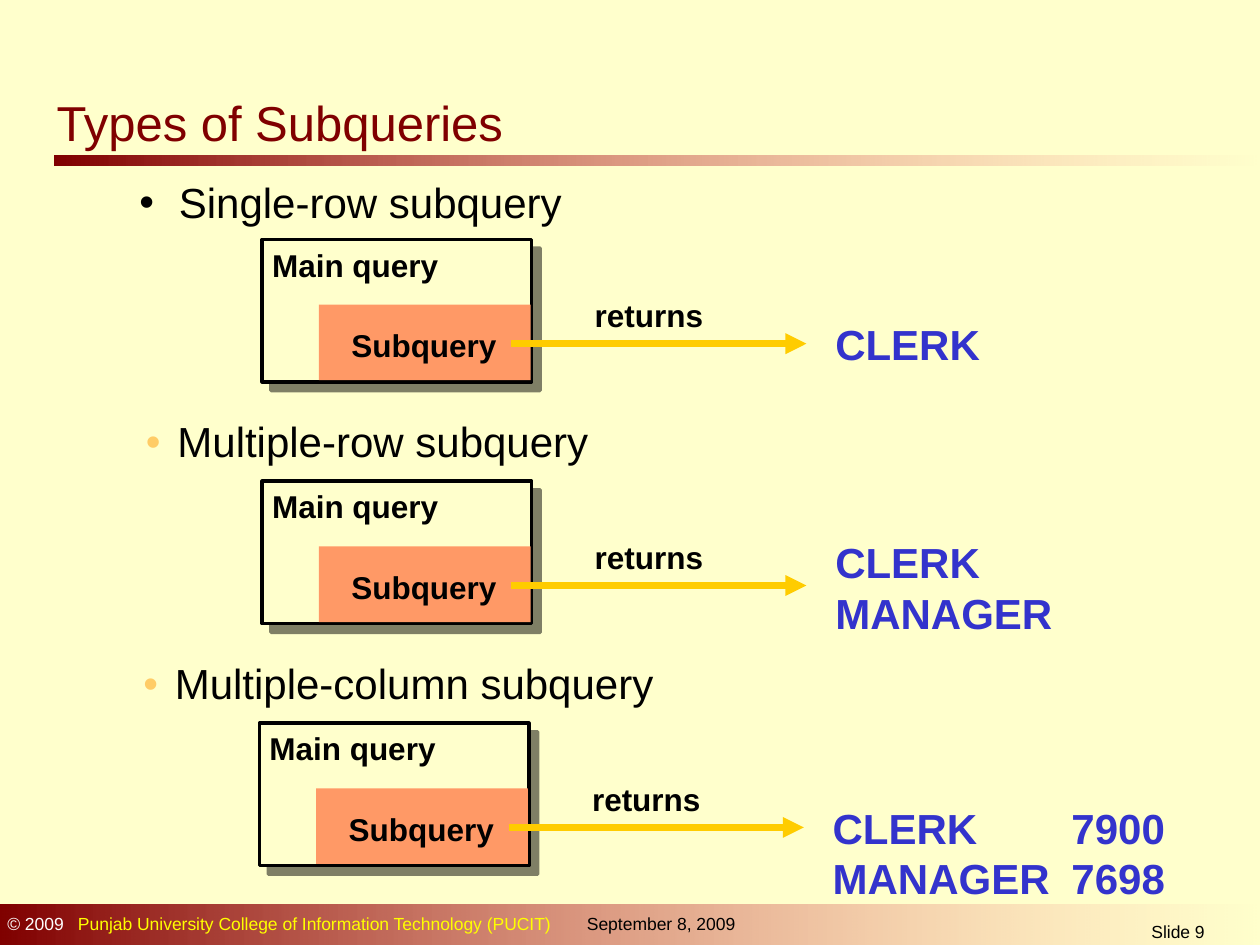
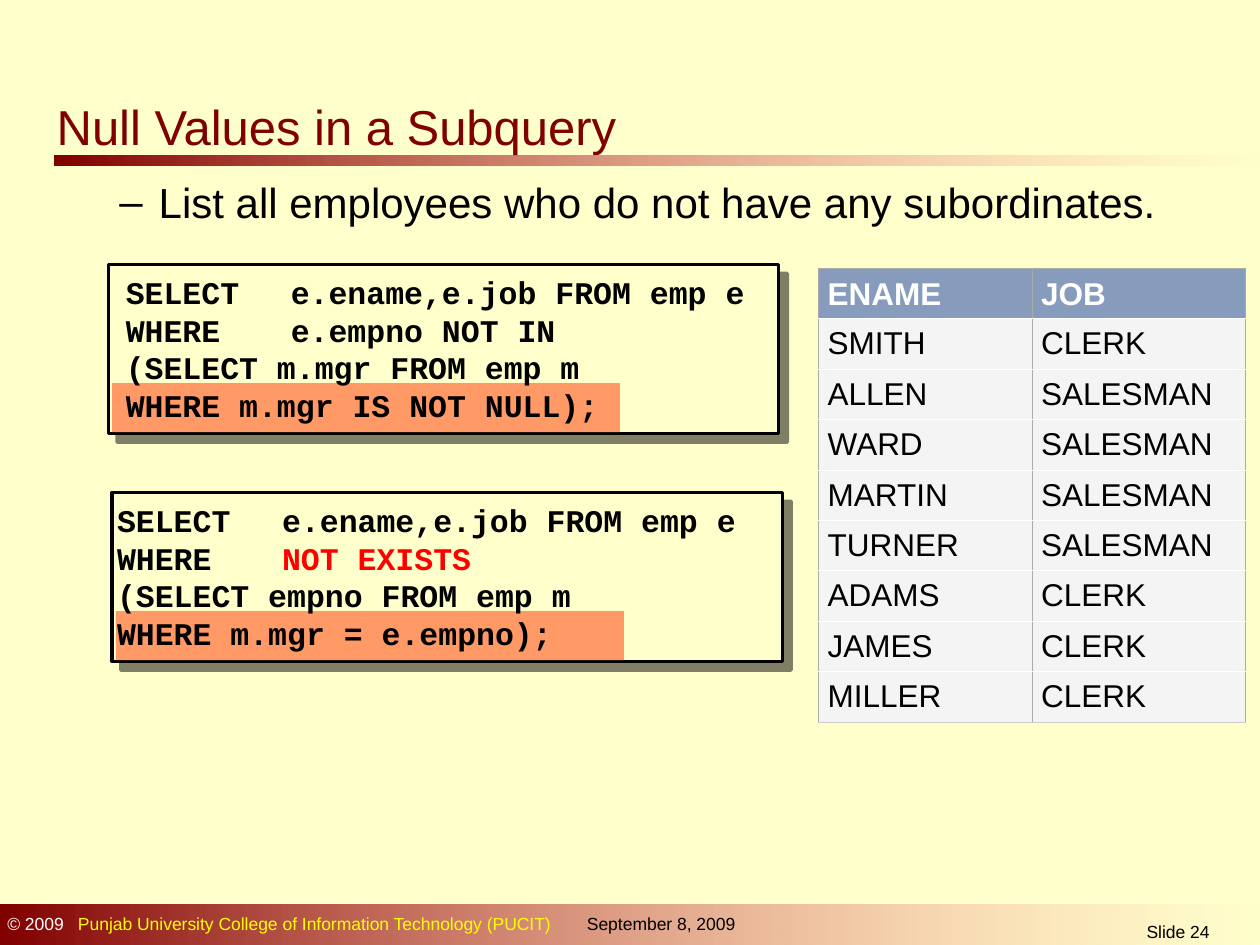
"""Builds two lecture slides on SQL subqueries."""
from dataclasses import dataclass

from lxml import etree
from pptx import Presentation
from pptx import util as u
from pptx.dml.color import RGBColor
from pptx.enum import shapes, text
from pptx.oxml import ns


@dataclass(frozen=True)
class Theme:
    sans: str = "Arial"
    mono: str = "Courier New"
    title_size: int = 28
    list_size: int = 24
    label_size: int = 18
    footer_size: int = 10
    page: str = "FFFFCC"
    maroon: str = "800000"
    fade: str = "FF8585"
    ink: str = "000000"
    white: str = "FFFFFF"
    yellow: str = "FFFF00"
    orange: str = "FF9966"
    gold: str = "FFCC00"
    bullet: str = "FFCC66"
    result: str = "3333CC"
    alert: str = "FF0000"
    table_head: str = "879CBD"
    table_body: str = "F4F4F4"
    table_rule: str = "AAAAAA"
    table_foot: str = "CCCCCC"


theme = Theme()
rgb = RGBColor.from_string


def write(holder, lines, size, color=theme.ink, bold=False, face=theme.sans,
          anchor=text.MSO_ANCHOR.TOP, align=text.PP_ALIGN.LEFT, tab=None, bullet=None):
    """Fill a shape with paragraphs; bullet is (sign, colour, left, hanging)."""
    frame = holder.text_frame
    frame.word_wrap = True
    frame.auto_size = text.MSO_AUTO_SIZE.NONE
    frame.vertical_anchor = anchor
    for index, line in enumerate(lines):
        paragraph = frame.add_paragraph() if index else frame.paragraphs[0]
        paragraph.text = line
        paragraph.alignment = align
        paragraph.space_before = u.Pt(0)
        props = paragraph._p.get_or_add_pPr()
        if bullet:
            sign, sign_color, left, hanging = bullet
            props.set("marL", str(u.Pt(left)))
            props.set("indent", str(-u.Pt(hanging)))
            tint = etree.SubElement(props, ns.qn("a:buClr"))
            etree.SubElement(tint, ns.qn("a:srgbClr"), val=sign_color)
            etree.SubElement(props, ns.qn("a:buFont"), typeface=theme.sans)
            etree.SubElement(props, ns.qn("a:buChar"), char=sign)
        if tab:
            stops = etree.SubElement(props, ns.qn("a:tabLst"))
            etree.SubElement(stops, ns.qn("a:tab"), pos=str(u.Pt(tab)), algn="l")
        font = paragraph.font
        font.name, font.size, font.bold = face, u.Pt(size), bold
        font.color.rgb = rgb(color)
    return frame


def panel(slide, box, fill, framed=False):
    """Add a plain rectangle, or one with a black frame and a hard shadow."""
    shape = slide.shapes.add_shape(shapes.MSO_SHAPE.RECTANGLE, *map(u.Pt, box))
    shape.shadow.inherit = False
    shape.fill.solid()
    shape.fill.fore_color.rgb = rgb(fill)
    if framed:
        shape.line.color.rgb = rgb(theme.ink)
        shape.line.width = u.Pt(2)
        effects = shape.element.spPr.find(ns.qn("a:effectLst"))
        shadow = etree.SubElement(effects, ns.qn("a:outerShdw"), blurRad="0",
                                  dist=str(u.Pt(7.1)), dir="2700000", algn="ctr", rotWithShape="0")
        tint = etree.SubElement(shadow, ns.qn("a:srgbClr"), val=theme.ink)
        etree.SubElement(tint, ns.qn("a:alpha"), val="50000")
    else:
        shape.line.fill.background()
    return shape


deck = Presentation()
deck.slide_width, deck.slide_height = u.Pt(720), u.Pt(540)
deck.slide_master.background.fill.solid()
deck.slide_master.background.fill.fore_color.rgb = rgb(theme.page)
layout = deck.slide_layouts[1]

types_slide = deck.slides.add_slide(layout)
nulls_slide = deck.slides.add_slide(layout)

shared = []
for band_box in [(31, 88.6, 689, 5.8), (0, 517, 720, 23)]:
    band = panel(types_slide, band_box, theme.maroon)
    band.fill.gradient()
    band.fill.gradient_angle = 0
    start, end = band.fill.gradient_stops
    start.color.rgb, end.color.rgb = rgb(theme.maroon), rgb(theme.fade)
    end_tint = list(band.element.spPr.iter(ns.qn("a:srgbClr")))[-1]
    etree.SubElement(end_tint, ns.qn("a:alpha"), val="0")
    shared.append(band)

copyright_line = types_slide.shapes.add_textbox(*map(u.Pt, (-2.9, 518.4, 330, 19.4)))
credit = write(copyright_line, ["© 2009\t"], theme.footer_size, theme.white, tab=40.4).paragraphs[0]
college = credit.add_run()
college.text = "Punjab University College of Information Technology (PUCIT)"
college.font.color.rgb = rgb(theme.yellow)
date = types_slide.shapes.add_textbox(*map(u.Pt, (328.3, 518.4, 110, 19.4)))
write(date, ["September 8, 2009"], theme.footer_size)
shared += [copyright_line, date]
for number, part in enumerate(shared, start=20):
    part.element.nvSpPr.cNvPr.set("id", str(number))
    layout.shapes.element.append(part.element)

headings = [
    (types_slide, "Types of Subqueries", (25.2, 49, 290, 43.2), "Slide 9",
     "Single-row subquery", "•", (36.7, 97.2, 674.6, 36.7)),
    (nulls_slide, "Null Values in a Subquery", (25.2, 51.8, 343, 36.7), "Slide 24",
     "List all employees who do not have any subordinates.", "–", (25.2, 97.2, 657.4, 36)),
]
for slide, heading, heading_box, page_label, point, sign, point_box in headings:
    title, body = slide.placeholders
    for holder, box in [(title, heading_box), (body, point_box)]:
        holder.left, holder.top, holder.width, holder.height = map(u.Pt, box)
    write(title, [heading], theme.title_size, theme.maroon)
    write(body, [point], theme.list_size, bullet=(sign, theme.ink, 58.3, 22.5))
    page = slide.shapes.add_textbox(*map(u.Pt, (626.4, 522.7, 93.6, 17.3)))
    write(page, [page_label], theme.footer_size, align=text.PP_ALIGN.CENTER)

kinds = [
    (149.8, None, None, 178.6, ["CLERK"]),
    (149.8, "Multiple-row subquery", 67.7, 303.1, ["CLERK", "MANAGER"]),
    (148.3, "Multiple-column subquery", 66.2, 455, ["CLERK\t7900", "MANAGER\t7698"]),
]
for row, (left, kind, kind_left, result_top, results) in enumerate(kinds):
    top = 136.8 + row * 138.2
    if kind:
        kind_box = types_slide.shapes.add_textbox(*map(u.Pt, (kind_left, top - 38.9, 576.7, 35.3)))
        frame = write(kind_box, [kind], theme.list_size, bullet=("•", theme.bullet, 26.6, 18))
        frame.paragraphs[0].line_spacing = 0.95
    panel(types_slide, (left, top, 153.9, 81.4), theme.page, framed=True)
    panel(types_slide, (left + 32.4, top + 37.3, 121, 43.2), theme.orange)
    for label, dx, dy, width in [("Main query", -1.4, 0, 115), ("Subquery", 43.9, 46, 104),
                                 ("returns", 182.9, 28.8, 82)]:
        label_box = types_slide.shapes.add_textbox(*map(u.Pt, (left + dx, top + dy, width, 28.8)))
        write(label_box, [label], theme.label_size, bold=True)
    arrow = types_slide.shapes.add_connector(
        shapes.MSO_CONNECTOR.STRAIGHT,
        *map(u.Pt, (left + 142.5, top + 59.6, left + 311, top + 59.6)))
    arrow.line.color.rgb = rgb(theme.gold)
    arrow.line.width = u.Pt(4)
    etree.SubElement(arrow.line._get_or_add_ln(), ns.qn("a:tailEnd"), type="triangle")
    etree.SubElement(arrow.element.spPr, ns.qn("a:effectLst"))
    result_box = types_slide.shapes.add_textbox(
        *map(u.Pt, (left + 320.4, result_top, 215, 7.2 + 28.8 * len(results))))
    write(result_box, results, theme.list_size, theme.result, bold=True, tab=136.5)

queries = [
    (61.9, 151.2, 2.9, ["SELECT\te.ename,e.job FROM emp e", "WHERE\te.empno NOT IN",
                        "(SELECT m.mgr FROM emp m", "WHERE m.mgr IS NOT NULL);"]),
    (64.1, 281.5, -4.3, ["SELECT\te.ename,e.job FROM emp e", "WHERE\t",
                         "(SELECT empno FROM emp m", "WHERE m.mgr = e.empno);"]),
]
for left, top, indent, code in queries:
    panel(nulls_slide, (left, top, 383, 96.5), theme.page, framed=True)
    panel(nulls_slide, (left + 2.2, top + 67.7, 290.2, 28.1), theme.orange)
    code_box = nulls_slide.shapes.add_textbox(*map(u.Pt, (left + indent, top, 391, 95.8)))
    query = write(code_box, code, theme.label_size, bold=True, face=theme.mono,
                  anchor=text.MSO_ANCHOR.MIDDLE, tab=94.3)
exists = query.paragraphs[1].add_run()
exists.text = "NOT EXISTS"
exists.font.color.rgb = rgb(theme.alert)

employees = [
    ("ENAME", "JOB"), ("SMITH", "CLERK"), ("ALLEN", "SALESMAN"), ("WARD", "SALESMAN"),
    ("MARTIN", "SALESMAN"), ("TURNER", "SALESMAN"), ("ADAMS", "CLERK"), ("JAMES", "CLERK"),
    ("MILLER", "CLERK"),
]
staff = nulls_slide.shapes.add_table(
    len(employees), 2, *map(u.Pt, (467.8, 153.3, 244, 28.8 * len(employees)))).table
staff.first_row = staff.horz_banding = False
for row, employee in enumerate(employees):
    staff.rows[row].height = u.Pt(28.8)
    is_head, is_last = row == 0, row == len(employees) - 1
    edges = {
        "lnL": theme.table_rule,
        "lnR": theme.table_rule,
        "lnT": theme.table_rule if is_head else theme.white,
        "lnB": theme.table_foot if is_last else theme.white,
    }
    for column, value in enumerate(employee):
        cell = staff.cell(row, column)
        cell.margin_left = cell.margin_right = u.Pt(5.2)
        cell.vertical_anchor = text.MSO_ANCHOR.BOTTOM if is_head else text.MSO_ANCHOR.MIDDLE
        cell_props = cell._tc.get_or_add_tcPr()
        for edge, edge_color in edges.items():
            rule = etree.SubElement(cell_props, ns.qn(f"a:{edge}"), w=str(u.Pt(0.28)))
            solid = etree.SubElement(rule, ns.qn("a:solidFill"))
            etree.SubElement(solid, ns.qn("a:srgbClr"), val=edge_color)
        cell.fill.solid()
        cell.fill.fore_color.rgb = rgb(theme.table_head if is_head else theme.table_body)
        paragraph = cell.text_frame.paragraphs[0]
        paragraph.text = value
        font = paragraph.font
        font.name, font.size, font.bold = theme.sans, u.Pt(theme.label_size), is_head
        font.color.rgb = rgb(theme.white if is_head else theme.ink)

deck.save("out.pptx")
